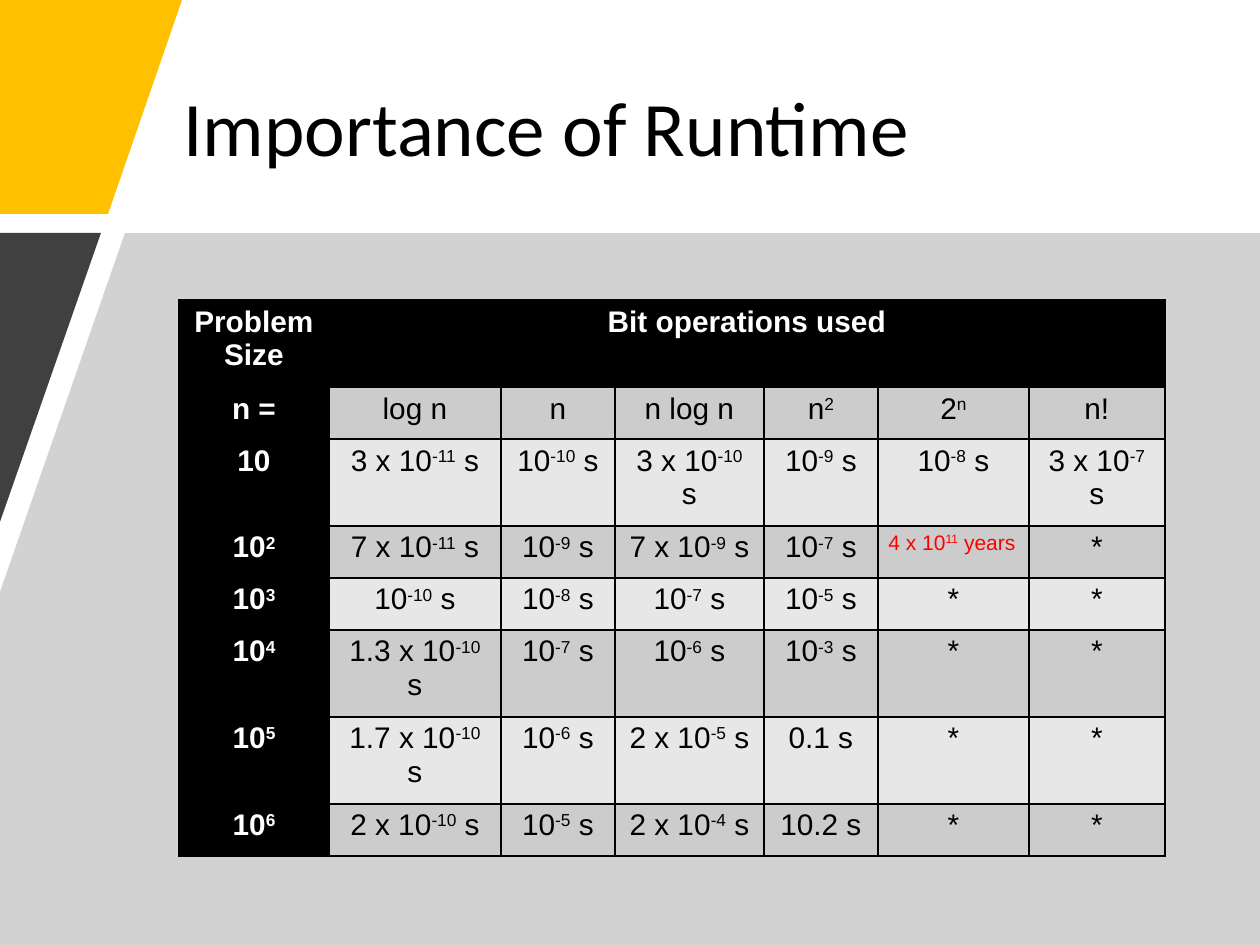
import pptx
import pptx.util
import pptx.dml.color
import pptx.enum.text
import pptx.oxml
import pptx.oxml.ns

RGB = pptx.dml.color.RGBColor
ALIGN = pptx.enum.text.PP_ALIGN
ANCHOR = pptx.enum.text.MSO_ANCHOR
BLACK = RGB(0x00, 0x00, 0x00)
WHITE = RGB(0xFF, 0xFF, 0xFF)
GOLD = RGB(0xFF, 0xC0, 0x00)
DARK = RGB(0x40, 0x40, 0x40)
GRAY = RGB(0xA6, 0xA6, 0xA6)
BAND = RGB(0xCC, 0xCC, 0xCC)
PALE = RGB(0xE7, 0xE7, 0xE7)
RED = RGB(0xFF, 0x00, 0x00)

COLS = [150, 172, 114, 149, 114, 151, 136]
ROWS = [87, 52, 87, 52, 52, 87, 87, 52]
# A caret raises the word after it.
TIMES = [
    ["Problem Size", "Bit operations used", "", "", "", "", ""],
    ["n =", "log n", "n", "n log n", "n^2", "2^n", "n!"],
    ["10", "3 x 10^-11 s", "10^-10 s", "3 x 10^-10 s", "10^-9 s", "10^-8 s", "3 x 10^-7 s"],
    ["10^2", "7 x 10^-11 s", "10^-9 s", "7 x 10^-9 s", "10^-7 s", "", "*"],
    ["10^3", "10^-10 s", "10^-8 s", "10^-7 s", "10^-5 s", "*", "*"],
    ["10^4", "1.3 x 10^-10 s", "10^-7 s", "10^-6 s", "10^-3 s", "*", "*"],
    ["10^5", "1.7 x 10^-10 s", "10^-6 s", "2 x 10^-5 s", "0.1 s", "*", "*"],
    ["10^6", "2 x 10^-10 s", "10^-5 s", "2 x 10^-4 s", "10.2 s", "*", "*"],
]


def px(n):
    return pptx.util.Emu(round(n * 914400 / 126))


def place(shape, box):
    shape.left, shape.top, shape.width, shape.height = map(px, box)


def style(run, size, color, font="Arial", bold=False):
    run.font.size = pptx.util.Pt(size)
    run.font.name = font
    run.font.bold = bold
    run.font.color.rgb = color


def write(para, text, size, color, bold=False):
    """Write centred text with an optional raised part."""
    para.alignment = ALIGN.CENTER
    base, _, rest = text.partition("^")
    power, gap, tail = rest.partition(" ")
    for part in (base, power, gap + tail):
        if part:
            run = para.add_run()
            run.text = part
            style(run, size, color, bold=bold)
            if part is power:
                run.font._element.set("baseline", "30000")


def shade(slide, points, color, alpha=None):
    pen = slide.shapes.build_freeform(*points[0], scale=914400 / 126)
    pen.add_line_segments(points[1:], close=True)
    shape = pen.convert_to_shape()
    shape.shadow.inherit = False
    shape.line.fill.background()
    shape.fill.solid()
    shape.fill.fore_color.rgb = color
    if alpha:
        tint = shape._element.spPr.find(".//" + pptx.oxml.ns.qn("a:srgbClr"))
        tint.append(pptx.oxml.parse_xml(
            f'<a:alpha {pptx.oxml.ns.nsdecls("a")} val="{alpha * 1000}"/>'))


def decor(slide, box):
    """Slanted panels that fill the box."""
    x, y, w, h = box
    top = y + 233
    shade(slide, [(x, y), (x + 182, y), (x + 108, y + 214), (x, y + 214)], GOLD)
    shade(slide, [(x + 125, top), (x + w, top), (x + w, y + h),
                  (x, y + h), (x, y + 592)], GRAY, 50)
    shade(slide, [(x, top), (x + 101, top), (x, y + 522)], DARK)


def head(slide, box):
    title = slide.shapes.title
    place(title, box)
    frame = title.text_frame
    frame.text = "Importance of Runtime"
    frame.vertical_anchor = ANCHOR.MIDDLE
    para = frame.paragraphs[0]
    para.alignment = ALIGN.LEFT
    para.line_spacing = 0.9
    style(para.runs[0], 44, BLACK, "Calibri")


def edge(cell):
    props = cell._tc.get_or_add_tcPr()
    for side in "LRTB":
        props.append(pptx.oxml.parse_xml(
            f'<a:ln{side} {pptx.oxml.ns.nsdecls("a")} w="12700"><a:solidFill>'
            f'<a:srgbClr val="{BLACK}"/></a:solidFill></a:ln{side}>'))


def grid(slide, box):
    """Table of run times; the first row and column are black."""
    table = slide.shapes.add_table(len(ROWS), len(COLS), *map(px, box)).table
    table.first_row = table.horz_banding = False
    for col, w in zip(table.columns, COLS):
        col.width = px(w)
    for row, h in zip(table.rows, ROWS):
        row.height = px(h)
    table.cell(0, 1).merge(table.cell(0, len(COLS) - 1))
    for r, line in enumerate(TIMES):
        for c, text in enumerate(line):
            cell = table.cell(r, c)
            key = r == 0 or c == 0
            cell.margin_left = cell.margin_right = px(12)
            cell.margin_top = cell.margin_bottom = px(5)
            edge(cell)
            cell.fill.solid()
            cell.fill.fore_color.rgb = BLACK if key else BAND if r % 2 else PALE
            write(cell.text_frame.paragraphs[0], text, 17,
                  WHITE if key else BLACK, key)


def note(slide, box):
    frame = slide.shapes.add_textbox(*map(px, box)).text_frame
    frame.word_wrap = True
    frame.auto_size = pptx.enum.text.MSO_AUTO_SIZE.SHAPE_TO_FIT_TEXT
    para = frame.paragraphs[0]
    para.space_after = pptx.util.Pt(6)
    write(para, "4 x 10^11 years", 12, RED)


def main():
    deck = pptx.Presentation()
    deck.slide_width, deck.slide_height = px(1260), px(945)
    slide = deck.slides.add_slide(deck.slide_layouts[5])
    decor(slide, (0, 0, 1260, 945))
    head(slide, (171, 50, 968, 164))
    grid(slide, (179, 300, sum(COLS), sum(ROWS)))
    note(slide, (809, 523, 286, 38))
    deck.save("out.pptx")


if __name__ == "__main__":
    main()
